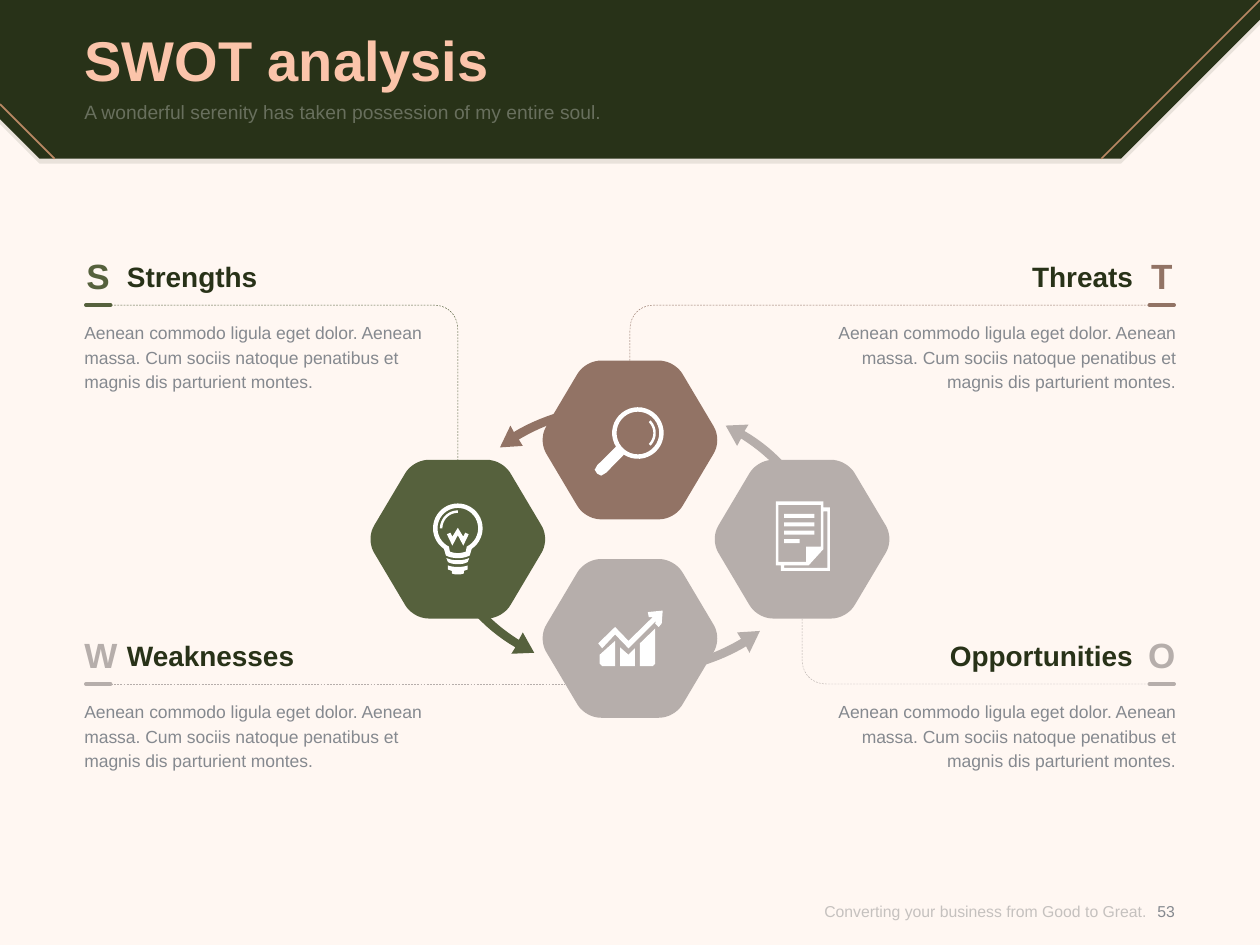
import math

import lxml.etree
import pptx
import pptx.dml.color
import pptx.enum.dml
import pptx.enum.shapes
import pptx.enum.text
import pptx.oxml.ns
import pptx.util

Cm = pptx.util.Cm
Pt = pptx.util.Pt
RGBColor = pptx.dml.color.RGBColor
ALIGN = pptx.enum.text.PP_ALIGN
ANCHOR = pptx.enum.text.MSO_ANCHOR
qn = pptx.oxml.ns.qn

CREAM = RGBColor(0xFF, 0xF7, 0xF2)
DARK = RGBColor(0x28, 0x32, 0x18)
PEACH = RGBColor(0xFB, 0xC4, 0xAA)
COPPER = RGBColor(0xB9, 0x87, 0x63)
GREEN = RGBColor(0x56, 0x61, 0x3D)
BROWN = RGBColor(0x92, 0x73, 0x65)
STONE = RGBColor(0xB6, 0xAE, 0xAB)
SLATE = RGBColor(0x85, 0x89, 0x8F)
GREY = RGBColor(0x8C, 0x8C, 0x8C)
WHITE = RGBColor(0xFF, 0xFF, 0xFF)
BODY = ("Aenean commodo ligula eget dolor. Aenean massa. Cum sociis "
        "natoque penatibus et magnis dis parturient montes.")


def bend(a, b, c, d, steps=10):
    points = []
    for i in range(steps + 1):
        t = i / steps
        u = 1 - t
        points.append(tuple(u**3 * p + 3 * u * u * t * q + 3 * u * t * t * r + t**3 * s
                            for p, q, r, s in zip(a, b, c, d)))
    return points


def arc(x, y, r, start, end, steps=36):
    angles = [math.radians(start + (end - start) * i / steps) for i in range(steps + 1)]
    return [(x + r * math.cos(a), y + r * math.sin(a)) for a in angles]


def toward(a, b, part):
    return tuple(p + (q - p) * part for p, q in zip(a, b))


def soft(prior, tip, after, cut):
    start = toward(tip, prior, cut / math.dist(tip, prior))
    end = toward(tip, after, cut / math.dist(tip, after))
    return bend(start, toward(start, tip, 0.6), toward(end, tip, 0.6), end)


def fade(node, part):
    color = node.find(".//" + qn("a:srgbClr"))
    lxml.etree.SubElement(color, qn("a:alpha")).set("val", str(part * 1000))


def draw(slide, x, y, paths, fill=None, line=None):
    paths = [[(round((x + px) * 1000), round((y + py) * 1000)) for px, py in path]
             for path in paths]
    pen = slide.shapes.build_freeform(*paths[0][0], scale=360)
    for i, path in enumerate(paths):
        if i:
            pen.move_to(*path[0])
        pen.add_line_segments(path[1:], close=fill is not None)
    shape = pen.convert_to_shape()
    shape.shadow.inherit = False
    if fill is None:
        shape.fill.background()
        dash(shape.line, line)
    else:
        shape.fill.solid()
        shape.fill.fore_color.rgb = fill
        shape.line.fill.background()
    return shape


def dash(line, color):
    line.color.rgb = color
    line.width = Pt(0.25)
    line.dash_style = pptx.enum.dml.MSO_LINE.DASH


def rule(slide, start, end, color, width):
    line = slide.shapes.add_connector(pptx.enum.shapes.MSO_CONNECTOR.STRAIGHT,
                                      *(Cm(v) for v in start + end))
    line.line.color.rgb = color
    line.line.width = Pt(width)
    props = line._element.spPr
    lxml.etree.SubElement(props, qn("a:effectLst"))
    return line


def write(slide, box, text, size, color, bold=False, align=ALIGN.LEFT,
          anchor=ANCHOR.TOP, space=None, part=None):
    frame = slide.shapes.add_textbox(*(Cm(v) for v in box)).text_frame
    frame.word_wrap = True
    frame.vertical_anchor = anchor
    frame.margin_left = frame.margin_right = frame.margin_top = frame.margin_bottom = 0
    para = frame.paragraphs[0]
    para.text = text
    para.alignment = align
    if space:
        para.line_spacing = Pt(space)
    para.font.name = "Arial"
    para.font.size = Pt(size)
    para.font.bold = bold
    para.font.color.rgb = color
    if part:
        fade(para._p, part)


def header(slide, box):
    x, y, w, h = box
    edge = [(0, 0), (w, 0), (w, 0.4), (w - 2.8, h), (0.8, h), (0, 2.4)]
    fade(draw(slide, x, y + 0.1, [edge], DARK)._element, 10)
    draw(slide, x, y, [edge], DARK)
    rule(slide, (x + w, y), (x + w - h, y + h), COPPER, 1)
    rule(slide, (x, y + 2.1), (x + 1.1, y + h), COPPER, 1)
    write(slide, (x + 1.7, y + 0.36, 22, 1.65), "SWOT analysis", 32, PEACH, True,
          anchor=ANCHOR.MIDDLE)
    write(slide, (x + 1.7, y + 2.03, 22, 1),
          "A wonderful serenity has taken possession of my entire soul.",
          11, WHITE, part=30)


def footer(slide, box):
    x, y, w, h = box
    write(slide, (x, y, w - 1, h), "Converting your business from Good to Great.",
          9, GREY, align=ALIGN.RIGHT, anchor=ANCHOR.MIDDLE, part=50)
    write(slide, (x + w - 1.2, y, 1.2, h), "53", 9, SLATE, align=ALIGN.CENTER,
          anchor=ANCHOR.MIDDLE)


def topic(slide, box, letter, head, color, right):
    x, y, w, h = box
    side = ALIGN.RIGHT if right else ALIGN.LEFT
    mark = x + w - 0.56 if right else x
    title = x + w - 4.9 if right else x + 0.86
    write(slide, (mark, y, 0.56, 0.86), letter, 20, color, True, ALIGN.CENTER)
    write(slide, (title, y + 0.1, 4.04, 0.69), head, 16, DARK, True, side)
    bar = rule(slide, (mark + 0.03, y + 1.02), (mark + 0.53, y + 1.02), color, 2)
    bar._element.spPr.find(qn("a:ln")).set("cap", "rnd")
    write(slide, (x, y + 1.3, w, h - 1.3), BODY, 10, SLATE, align=side, space=14)


def lens():
    ring = arc(0.16, -0.14, 0.52, 148, 483)
    grip = [(-0.48, 0.66), (-0.58, 0.72), (-0.66, 0.68), (-0.71, 0.6), (-0.66, 0.51)]
    glint = arc(0.16, -0.14, 0.36, -45, 45) + arc(0.16, -0.14, 0.31, 45, -45)
    return [ring + grip, arc(0.16, -0.14, 0.43, 0, 360), glint]


def bulb():
    glass = arc(0, -0.22, 0.5, 124, 416) + bend((0.24, 0.33), (0.1, 0.4), (-0.1, 0.4), (-0.24, 0.33))
    hollow = arc(0, -0.22, 0.41, 116, 424) + bend((0.16, 0.25), (0.06, 0.29), (-0.06, 0.29), (-0.16, 0.25))
    glint = arc(0, -0.22, 0.36, 180, 270) + arc(0, -0.22, 0.31, 270, 180)
    wire = [(0, -0.23), (0.11, -0.05), (0.15, -0.13), (0.22, -0.1), (0.11, 0.13),
            (0, -0.08), (-0.11, 0.13), (-0.22, -0.1), (-0.15, -0.13), (-0.11, -0.05)]
    band = (bend((-0.23, 0.38), (-0.1, 0.44), (0.1, 0.44), (0.23, 0.38))
            + bend((0.2, 0.46), (0.1, 0.52), (-0.1, 0.52), (-0.2, 0.46)))
    base = (bend((-0.2, 0.53), (-0.1, 0.57), (0.1, 0.57), (0.2, 0.53))
            + [(0.2, 0.61), (0.12, 0.64)]
            + bend((0.12, 0.69), (0.06, 0.72), (-0.06, 0.72), (-0.12, 0.69))
            + [(-0.12, 0.64), (-0.2, 0.61)])
    return [glass, hollow, glint, wire, band, base]


def graph():
    return [[(-0.61, 0.33), (-0.3, 0.05), (-0.3, 0.56), (-0.56, 0.56), (-0.61, 0.51)],
            [(-0.2, 0.18), (-0.03, 0.33), (0.1, 0.2), (0.1, 0.56), (-0.2, 0.56)],
            [(0.2, 0.1), (0.51, -0.2), (0.51, 0.51), (0.46, 0.56), (0.2, 0.56)],
            [(0.66, -0.56), (0.36, -0.53), (0.38, -0.43), (0.46, -0.43), (-0.03, 0.05),
             (-0.3, -0.23), (-0.64, 0.1), (-0.56, 0.2), (-0.3, -0.08), (-0.03, 0.2),
             (0.53, -0.36), (0.51, -0.3), (0.58, -0.23), (0.64, -0.3)]]


def page():
    sheet = [(-0.53, -0.76), (0.43, -0.76), (0.43, -0.64), (0.56, -0.64),
             (0.56, 0.64), (-0.43, 0.64), (-0.43, 0.53), (-0.53, 0.53)]
    front = [(-0.48, 0.46), (-0.48, -0.69), (0.38, -0.69), (0.38, 0.15), (0.08, 0.15), (0.08, 0.46)]
    back = [(0.51, 0.58), (-0.36, 0.58), (-0.36, 0.53), (0.13, 0.53), (0.43, 0.2),
            (0.43, -0.56), (0.51, -0.56)]
    rows = []
    for i, end in enumerate((0.25, 0.25, 0.25, -0.05)):
        top = -0.51 + 0.17 * i
        rows.append([(-0.36, top), (end, top), (end, top + 0.08), (-0.36, top + 0.08)])
    return [sheet, front, back] + rows


def tile(slide, box, color, icon):
    x, y, w, h = box
    x, y = x + w / 2, y + h / 2
    tips = [(-0.9, -h / 2), (0.9, -h / 2), (1.85, 0), (0.9, h / 2), (-0.9, h / 2), (-1.85, 0)]
    edge = []
    for i, tip in enumerate(tips):
        edge += soft(tips[i - 1], tip, tips[(i + 1) % 6], 0.32)
    draw(slide, x, y, [edge], color)
    draw(slide, x, y, icon, WHITE)


def cycle(slide, box):
    x, y, w, h = box
    x, y = x + w / 2, y + h / 2
    steep = ([(-2.39, 2.31)] + bend((-2.31, 2.18), (-2.74, 1.93), (-3.1, 1.6), (-3.35, 1.24))
             + bend((-3.2, 1.14), (-2.97, 1.47), (-2.64, 1.78), (-2.24, 2.03))
             + [(-2.16, 1.88), (-1.93, 2.29)])
    flat = ([(-2.62, -1.85), (-2.41, -2.29)]
            + bend((-2.34, -2.16), (-2.01, -2.36), (-1.63, -2.51), (-1.22, -2.62))
            + bend((-1.17, -2.44), (-1.55, -2.36), (-1.9, -2.21), (-2.24, -2.01))
            + [(-2.16, -1.88)])
    for arrow, color in ((steep, GREEN), (flat, BROWN)):
        draw(slide, x, y, [arrow], color)
        draw(slide, x, y, [[(-px, -py) for px, py in arrow]], STONE)
    for start, tip, end, color in (
            ((-10.9, -4.72), (-3.47, -4.72), (-3.47, -1.6), GREEN),
            ((10.9, -4.72), (0, -4.72), (0, -3.6), BROWN),
            ((10.9, 2.92), (3.47, 2.92), (3.47, 1.6), STONE)):
        draw(slide, x, y, [[start] + soft(start, tip, end, 0.5) + [end]], line=color)
    lead = rule(slide, (x - 10.9, y + 2.92), (x - 1.32, y + 2.92), STONE, 0.25)
    dash(lead.line, STONE)
    for dx, dy, color, icon in ((0, -2, BROWN, lens()), (0, 2, STONE, graph()),
                                (-3.47, 0, GREEN, bulb()), (3.47, 0, STONE, page())):
        tile(slide, (x + dx - 1.78, y + dy - 1.6, 3.56, 3.2), color, icon)


def main():
    deck = pptx.Presentation()
    deck.slide_width, deck.slide_height = Cm(25.4), Cm(19.05)
    slide = deck.slides.add_slide(deck.slide_layouts[6])
    slide.background.fill.solid()
    slide.background.fill.fore_color.rgb = CREAM
    header(slide, (0, 0, 25.4, 3.2))
    cycle(slide, (7.45, 7.27, 10.5, 7.2))
    for x, y, letter, head, color in ((1.7, 5.13, "S", "Strengths", GREEN),
                                      (16.44, 5.13, "T", "Threats", BROWN),
                                      (1.7, 12.77, "W", "Weaknesses", STONE),
                                      (16.44, 12.77, "O", "Opportunities", STONE)):
        topic(slide, (x, y, 7.26, 2.8), letter, head, color, x > 12.7)
    footer(slide, (15.33, 17.68, 8.78, 1.37))
    deck.save("out.pptx")


if __name__ == "__main__":
    main()
